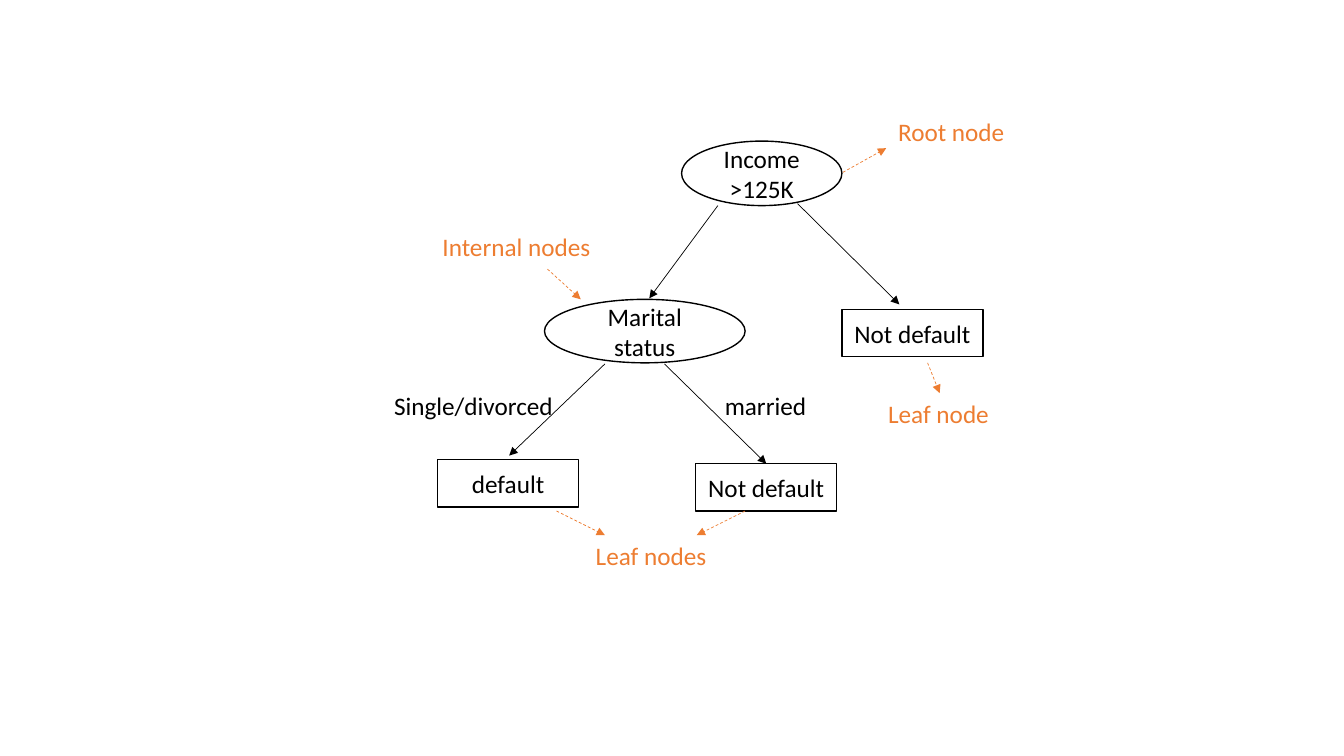
from dataclasses import dataclass

from lxml import etree
from pptx import Presentation
from pptx.dml.color import RGBColor
from pptx.enum.dml import MSO_LINE
from pptx.enum.shapes import MSO_CONNECTOR, MSO_SHAPE
from pptx.enum.text import MSO_ANCHOR, MSO_AUTO_SIZE, PP_ALIGN
from pptx.oxml.ns import qn
from pptx.util import Inches, Pt

OVAL = MSO_SHAPE.OVAL
RECTANGLE = MSO_SHAPE.RECTANGLE
STRAIGHT = MSO_CONNECTOR.STRAIGHT
DASH = MSO_LINE.DASH
MIDDLE = MSO_ANCHOR.MIDDLE
CENTER = PP_ALIGN.CENTER
FIT_SHAPE = MSO_AUTO_SIZE.SHAPE_TO_FIT_TEXT
BLANK_LAYOUT = 6
TOP_SIDE = 0
LEAF_SIZE = (1.4, 0.47)
LABEL_HEIGHT = 0.4


@dataclass(frozen=True)
class Theme:
    """Colours, font and sizes of the decision tree."""
    ink: RGBColor = RGBColor(0x00, 0x00, 0x00)
    accent: RGBColor = RGBColor(0xED, 0x7D, 0x31)
    font: str = "Calibri"
    text_size: Pt = Pt(18)
    outline: Pt = Pt(1)
    arrow: Pt = Pt(0.5)


THEME = Theme()


def write(frame, wording, color):
    """Put one formatted paragraph into a text frame."""
    frame.text = wording
    font = frame.paragraphs[0].runs[0].font
    font.name = THEME.font
    font.size = THEME.text_size
    font.color.rgb = color


def add_node(tree, outline, wording, left, top, width, height):
    """Add an outlined tree node with centred text."""
    node = tree.add_shape(outline, Inches(left), Inches(top), Inches(width), Inches(height))
    node.shadow.inherit = False
    node.fill.background()
    node.line.color.rgb = THEME.ink
    node.line.width = THEME.outline
    frame = node.text_frame
    frame.word_wrap = True
    frame.vertical_anchor = MIDDLE
    write(frame, wording, THEME.ink)
    frame.paragraphs[0].alignment = CENTER
    return node


def add_label(tree, wording, left, top, width, color):
    """Add a free-standing label on one line."""
    label = tree.add_textbox(Inches(left), Inches(top), Inches(width), Inches(LABEL_HEIGHT))
    label.text_frame.word_wrap = False
    write(label.text_frame, wording, color)
    label.text_frame.auto_size = FIT_SHAPE


def add_arrow(tree, start, end, color, dashed=False):
    """Add a thin straight arrow between two points."""
    arrow = tree.add_connector(STRAIGHT, *map(Inches, start + end))
    arrow.line.color.rgb = color
    arrow.line.width = THEME.arrow
    if dashed:
        arrow.line.dash_style = DASH
    etree.SubElement(arrow.line._get_or_add_ln(), qn("a:tailEnd"), type="triangle")
    etree.SubElement(arrow._element.spPr, qn("a:effectLst"))
    return arrow


def main():
    """Build the decision tree slide."""
    deck = Presentation()
    deck.slide_width, deck.slide_height = Inches(13.33), Inches(7.5)
    slide = deck.slides.add_slide(deck.slide_layouts[BLANK_LAYOUT])
    tree = slide.shapes.add_group_shape().shapes

    add_node(tree, OVAL, "Income >125K", 6.76, 1.4, 1.59, 0.64)
    add_node(tree, OVAL, "Marital status", 5.4, 2.97, 1.99, 0.63)
    add_node(tree, RECTANGLE, "default", 4.34, 4.56, *LEAF_SIZE)
    married_leaf = add_node(tree, RECTANGLE, "Not default", 6.9, 4.6, *LEAF_SIZE)
    add_node(tree, RECTANGLE, "Not default", 8.35, 3.07, *LEAF_SIZE)

    for start, end in (
        ((7.12, 2.04), (6.44, 2.96)),
        ((7.91, 2.02), (8.92, 3.02)),
        ((6, 3.61), (5.05, 4.52)),
    ):
        add_arrow(tree, start, end, THEME.ink)
    married_branch = add_arrow(tree, (6.59, 3.61), (7.6, 4.6), THEME.ink)
    married_branch.end_connect(married_leaf, TOP_SIDE)

    for start, end in (
        ((8.36, 1.71), (8.79, 1.47)),
        ((5.52, 5.07), (6, 5.31)),
        ((7.39, 5.07), (6.91, 5.31)),
        ((9.2, 3.6), (9.32, 3.9)),
        ((5.43, 2.67), (5.76, 2.97)),
    ):
        add_arrow(tree, start, end, THEME.accent, dashed=True)

    for wording, left, top, width, color in (
        ("Root node", 8.81, 1.11, 1.27, THEME.accent),
        ("Leaf nodes", 5.81, 5.31, 1.31, THEME.accent),
        ("Leaf node", 8.71, 3.9, 1.22, THEME.accent),
        ("Internal nodes", 4.29, 2.25, 1.68, THEME.accent),
        ("Single/divorced", 3.81, 3.82, 1.8, THEME.ink),
        ("married", 7.09, 3.82, 1.02, THEME.ink),
    ):
        add_label(tree, wording, left, top, width, color)

    deck.save("out.pptx")


if __name__ == "__main__":
    main()
